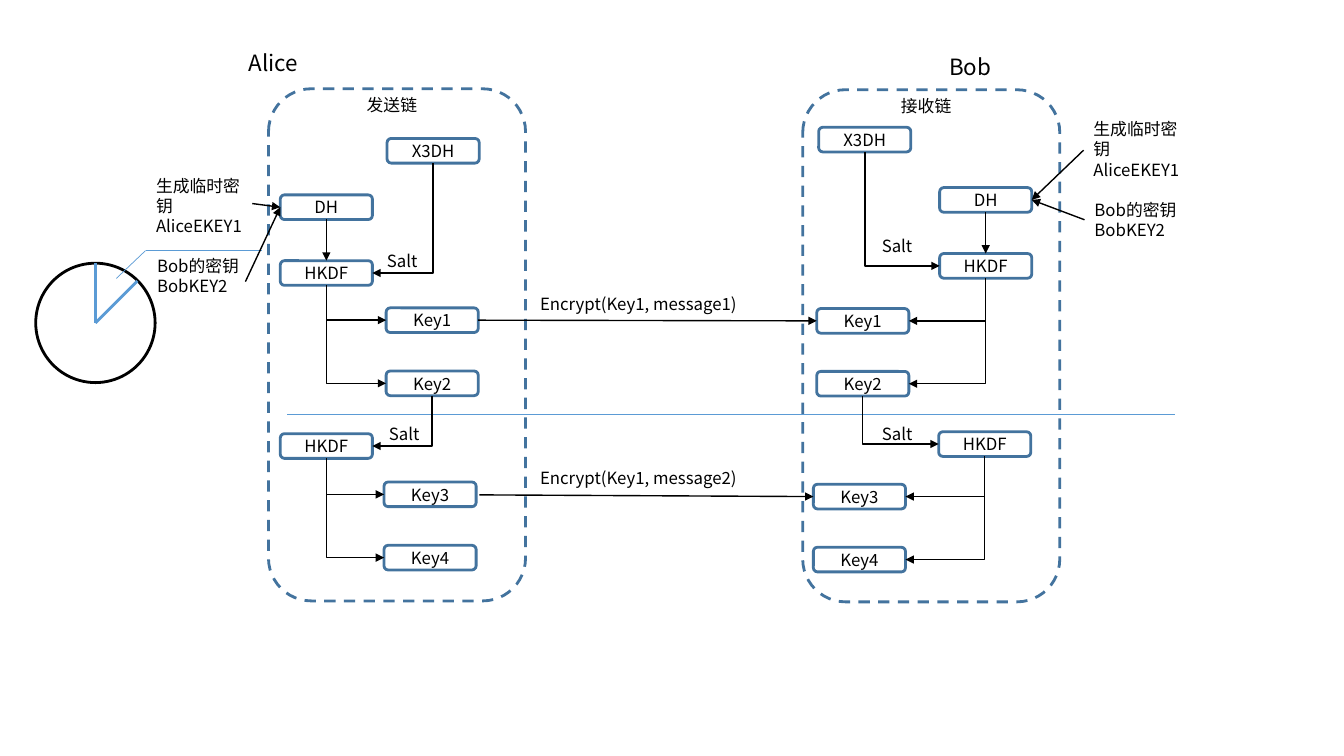
from lxml import etree
from pptx import Presentation
from pptx.dml.color import RGBColor
from pptx.enum import dml, shapes, text
from pptx.oxml import ns
from pptx.util import Pt

FONT = "Noto Sans CJK SC"
COLORS = {"ink": "000000", "frame": "43739E", "accent": "5B9BD5"}
BOX_WIDTH, BOX_HEIGHT = 65.8, 17.6
TOP, LEFT, BOTTOM, RIGHT = range(4)


def write(shape, words, size=12, align=text.PP_ALIGN.LEFT):
    para = shape.text_frame.paragraphs[0]
    para.alignment = align
    span = para.add_run()
    span.text = words
    for name, value in {"name": FONT, "size": Pt(size)}.items():
        setattr(span.font, name, value)
    span.font.color.rgb = RGBColor.from_string(COLORS["ink"])
    etree.SubElement(span.font._element, ns.qn("a:ea"), typeface=FONT)


def draw_line(parent, start, end, color="ink", width=1, arrow=True):
    line = parent.add_connector(
        shapes.MSO_CONNECTOR.STRAIGHT, *map(Pt, start), *map(Pt, end))
    line.line.color.rgb = RGBColor.from_string(COLORS[color])
    line.line.width = Pt(width)
    if arrow:
        etree.SubElement(line.line._ln, ns.qn("a:tailEnd"), type="triangle")
    etree.SubElement(line._element.spPr, ns.qn("a:effectLst"))
    return line


deck = Presentation()
deck.slide_width, deck.slide_height = Pt(960), Pt(540)
page = deck.slides.add_slide(deck.slide_layouts[6])

# Dashed chain frames
frames = [(191.8, 63.4), (573.4, 64.1)]
for left, top in frames:
    frame = page.shapes.add_shape(
        shapes.MSO_SHAPE.ROUNDED_RECTANGLE, Pt(left), Pt(top), Pt(183.6), Pt(365.8))
    frame.shadow.inherit = False
    frame.fill.background()
    frame.line.color.rgb = RGBColor.from_string(COLORS["frame"])
    frame.line.width = Pt(2)
    frame.line.dash_style = dml.MSO_LINE.DASH

# Clock with its callout line
clock = page.shapes.add_group_shape()
dial = clock.shapes.add_shape(
    shapes.MSO_SHAPE.OVAL, Pt(25.5), Pt(188), Pt(85.3), Pt(85.3))
dial.shadow.inherit = False
dial.fill.background()
dial.line.color.rgb = RGBColor.from_string(COLORS["ink"])
dial.line.width = Pt(2)
center = (68.2, 230.7)
for tip in [(68.2, 188), (98.2, 200.7)]:
    draw_line(clock.shapes, tip, center, "accent", 2, arrow=False)
for start, end in [((83.1, 198.9), (104, 179)),
                   ((104, 179), (187.2, 179)),
                   ((205.2, 296.3), (839.5, 296.3))]:
    draw_line(page.shapes, start, end, "accent", 0.5, arrow=False)

# Key boxes of both chains: left and top
chains = {
    "Alice": {
        "X3DH": (276.5, 98.9), "DH": (200.2, 139.2), "HKDF": (200.2, 186.2),
        "Key1": (275.8, 219.9), "Key2": (275.8, 265), "HKDF ": (200.2, 309.8),
        "Key3": (274.3, 344.3), "Key4": (274.3, 389.5)},
    "Bob": {
        "X3DH": (584.8, 90.9), "DH": (671.2, 134), "HKDF": (671.2, 181.1),
        "Key1": (583.4, 220.4), "Key2": (583.4, 265.3), "HKDF ": (670.5, 308.4),
        "Key3": (581, 345.9), "Key4": (581, 390.9)},
}
links = [("X3DH", "HKDF"), ("DH", "HKDF"), ("HKDF", "Key1"), ("HKDF", "Key2"),
         ("Key2", "HKDF "), ("HKDF ", "Key3"), ("HKDF ", "Key4")]
boxes = {}
for person, places in chains.items():
    for name, (left, top) in places.items():
        box = page.shapes.add_shape(
            shapes.MSO_SHAPE.ROUNDED_RECTANGLE,
            Pt(left), Pt(top), Pt(BOX_WIDTH), Pt(BOX_HEIGHT))
        box.shadow.inherit = False
        box.fill.background()
        box.line.color.rgb = RGBColor.from_string(COLORS["frame"])
        box.line.width = Pt(2)
        box.text_frame.vertical_anchor = text.MSO_ANCHOR.MIDDLE
        write(box, name.strip(), align=text.PP_ALIGN.CENTER)
        boxes[person, name] = box

    for source, target in links:
        (from_left, from_top), (to_left, to_top) = places[source], places[target]
        straight = from_left == to_left
        leftward = to_left < from_left
        x1, y1 = from_left + BOX_WIDTH / 2, from_top + BOX_HEIGHT
        x2 = to_left + BOX_WIDTH * leftward
        y2 = to_top + BOX_HEIGHT / 2
        side = TOP if straight else RIGHT if leftward else LEFT
        link = draw_line(page.shapes, (x1, y1), (x2, y2))
        link.begin_connect(boxes[person, source], BOTTOM)
        link.end_connect(boxes[person, target], side)
        if straight:
            continue
        # One-corner elbow: a quarter turn swaps width and height
        across, down = abs(x2 - x1), y2 - y1
        link.left, link.top = Pt((x1 + x2 - down) / 2), Pt((y1 + y2 - across) / 2)
        link.width, link.height = Pt(down), Pt(across)
        properties = link._element.spPr
        properties.find(ns.qn("a:prstGeom")).set("prst", "bentConnector2")
        turn = properties.find(ns.qn("a:xfrm"))
        turn.set("rot", str((90 if leftward else 270) * 60000))
        turn.set("flipH", "0" if leftward else "1")

# Messages from Alice to Bob
message = draw_line(page.shapes, (341.6, 228.7), (583.4, 229.2))
message.begin_connect(boxes["Alice", "Key1"], RIGHT)
message.end_connect(boxes["Bob", "Key1"], LEFT)
message = draw_line(page.shapes, (342.4, 353.5), (581, 354.7))
message.end_connect(boxes["Bob", "Key3"], LEFT)

# Inputs to each DH box
for person, start, side in [("Alice", (180.2, 145.4), LEFT),
                            ("Alice", (175.3, 201.2), LEFT),
                            ("Bob", (774, 107.3), RIGHT),
                            ("Bob", (774.7, 157), RIGHT)]:
    arrow = draw_line(page.shapes, start, start)
    arrow.end_connect(boxes[person, "DH"], side)

# Labels: words, left, top, width, height, size
labels = [
    ("Alice", 170.6, 31.7, 58.3, 26.6, 16),
    ("Bob", 671, 34.6, 58.3, 26.6, 16),
    ("发送链", 254.9, 64.1, 83.5, 21.8, 12),
    ("接收链", 636.5, 64.8, 83.5, 21.8, 12),
    ("生成临时密钥AliceEKEY1", 104.4, 121.9, 83.5, 50.9, 12),
    ("Bob的密钥BobKEY2", 105.1, 179.3, 83.5, 36.4, 12),
    ("生成临时密钥AliceEKEY1", 774, 81.4, 83.5, 50.9, 12),
    ("Bob的密钥BobKEY2", 774.7, 139, 83.5, 36.4, 12),
    ("Encrypt(Key1, message1)", 378.7, 206.6, 189.4, 21.8, 12),
    ("Encrypt(Key1, message2)", 378.7, 330.7, 175.7, 21.8, 12),
    ("Salt", 269.3, 175.2, 38.9, 21.8, 12),
    ("Salt", 270.7, 299, 51.8, 21.8, 12),
    ("Salt", 622.8, 164.9, 38.9, 21.8, 12),
    ("Salt", 622.8, 299, 51.8, 21.8, 12),
]
for words, *place, size in labels:
    label = page.shapes.add_textbox(*map(Pt, place))
    label.text_frame.word_wrap = True
    label.text_frame.auto_size = text.MSO_AUTO_SIZE.SHAPE_TO_FIT_TEXT
    write(label, words, size)

deck.save("out.pptx")
